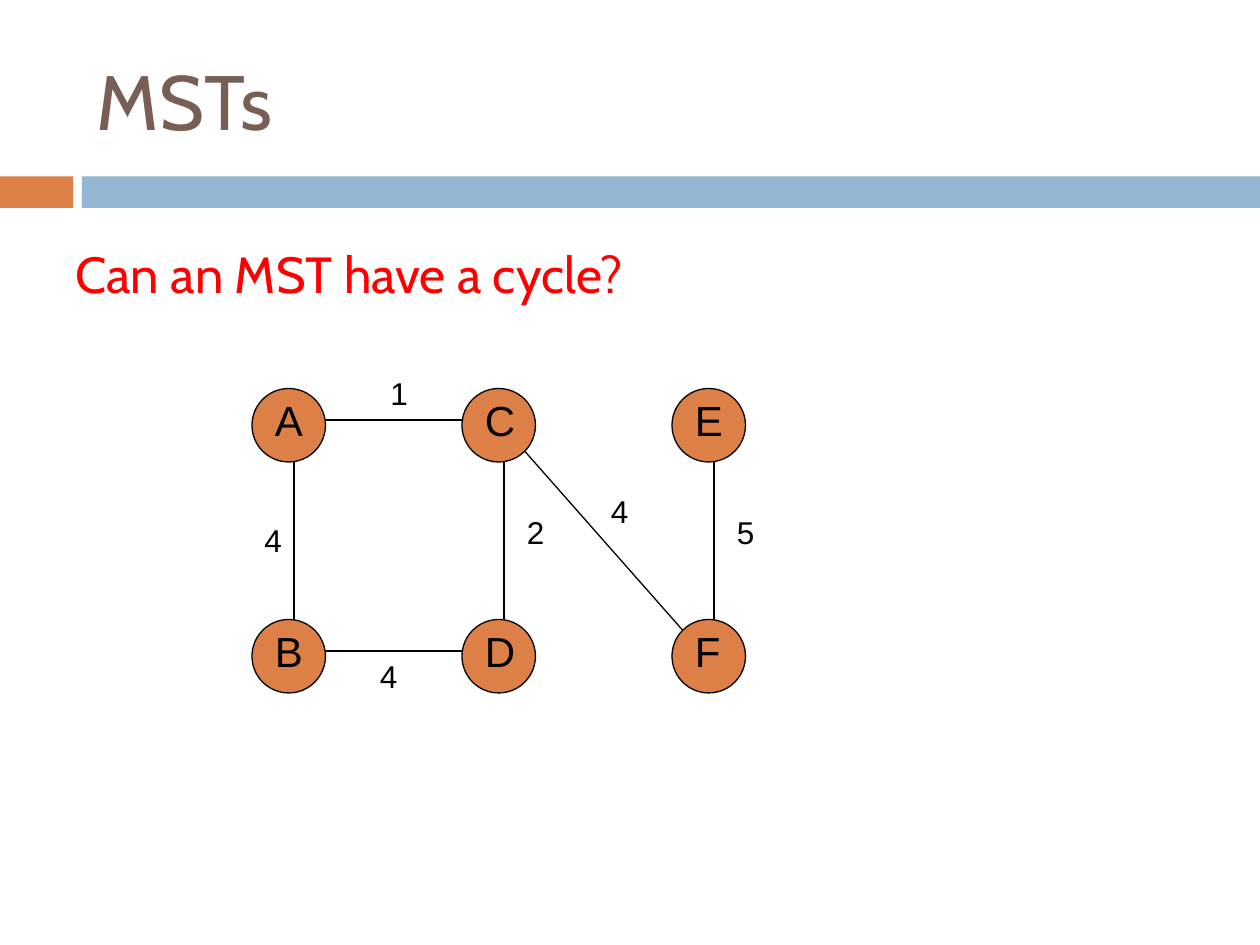
from lxml.etree import SubElement
from pptx import Presentation
from pptx.dml.color import RGBColor
from pptx.enum.shapes import MSO_CONNECTOR, MSO_SHAPE
from pptx.enum.text import MSO_ANCHOR
from pptx.oxml.ns import qn
from pptx.util import Inches, Pt

ORANGE = RGBColor(0xDD, 0x80, 0x47)
BLUE = RGBColor(0x94, 0xB6, 0xD2)
BROWN = RGBColor(0x77, 0x5F, 0x55)
RED = RGBColor(0xFF, 0x00, 0x00)
BLACK = RGBColor(0x00, 0x00, 0x00)

# Graph grid: 12 units to the inch
NODE_SIZE = 7
COL_STEP, ROW_STEP = 20, 22
LEFT, TOP = 24, 37

NODES = {"A": (0, 0), "B": (0, 1), "C": (1, 0),
         "D": (1, 1), "E": (2, 0), "F": (2, 1)}

# Edge start, edge end, weight, top left of the weight's box
EDGES = [
    ((31, 40), (44, 40), "1", (36, 35)),
    ((28, 59), (28, 44), "4", (24, 49)),
    ((48, 59), (48, 44), "2", (49, 48.25)),
    ((31, 62), (44, 62), "4", (35, 62)),
    ((50, 43), (65, 60), "4", (57, 46.25)),
    ((68, 59), (68, 44), "5", (69, 48.25)),
]


def grid(*units):
    return [Inches(u / 12) for u in units]


def add_text(shapes, box, text, size, font, color,
             anchor=MSO_ANCHOR.TOP, before=0):
    tf = shapes.add_textbox(*box).text_frame
    tf.word_wrap = True
    tf.vertical_anchor = anchor
    p = tf.paragraphs[0]
    p.space_before = Pt(before)
    r = p.add_run()
    r.text = text
    r.font.size = Pt(size)
    r.font.name = font
    r.font.color.rgb = color


def add_filled(shapes, kind, box, fill):
    sp = shapes.add_shape(kind, *box)
    sp.shadow.inherit = False
    sp.fill.solid()
    sp.fill.fore_color.rgb = fill
    sp.line.fill.background()
    return sp


def add_node(s, name, col, row):
    x, y = LEFT + col * COL_STEP, TOP + row * ROW_STEP
    group = s.shapes.add_group_shape()
    circle = add_filled(group.shapes, MSO_SHAPE.OVAL,
                        grid(x, y, NODE_SIZE, NODE_SIZE), ORANGE)
    circle.line.color.rgb = BLACK
    circle.line.width = Pt(0.75)
    add_text(group.shapes, grid(x + 1, y, 6, 6), name, 24, "Arial", BLACK)


def add_edge(s, start, end, weight, label_at):
    line = s.shapes.add_connector(MSO_CONNECTOR.STRAIGHT, *grid(*start, *end))
    line.line.color.rgb = BLACK
    line.line.width = Pt(0.75)
    SubElement(line._element.spPr, qn("a:effectLst"))
    add_text(s.shapes, grid(*label_at, 7, 4.8), weight, 18, "Arial", BLACK)


def main():
    prs = Presentation()
    prs.slide_width, prs.slide_height = Inches(10), Inches(7.5)
    s = prs.slides.add_slide(prs.slide_layouts[6])

    # Band under the title
    for x, width, color in ((0, 0.58, ORANGE), (0.65, 9.35, BLUE)):
        box = [Inches(v) for v in (x, 1.4, width, 0.25)]
        add_filled(s.shapes, MSO_SHAPE.RECTANGLE, box, color)

    # Title and question
    add_text(s.shapes, [Inches(v) for v in (0.67, 0.25, 8.92, 1.08)],
             "MSTs", 44, "Cabin", BROWN, anchor=MSO_ANCHOR.MIDDLE)
    add_text(s.shapes, [Inches(v) for v in (0.5, 1.88, 9, 0.79)],
             "Can an MST have a cycle?", 29, "Cabin", RED, before=7)

    # Weighted graph
    for name, (col, row) in NODES.items():
        add_node(s, name, col, row)
    for edge in EDGES:
        add_edge(s, *edge)

    prs.save("out.pptx")


if __name__ == "__main__":
    main()
